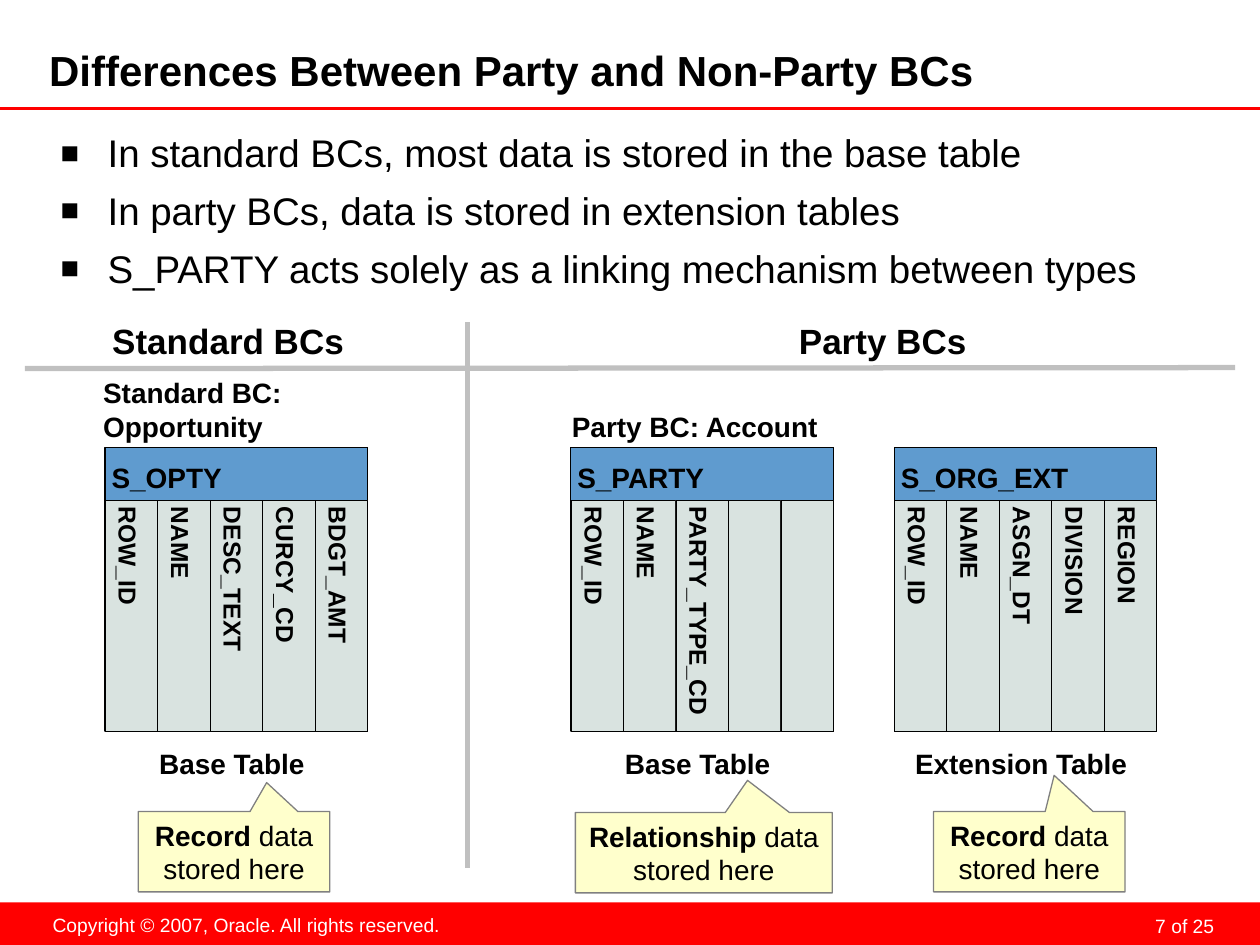
from dataclasses import dataclass

from lxml import etree
from pptx import Presentation
from pptx import util as u
from pptx.dml.color import RGBColor
from pptx.enum import shapes, text
from pptx.oxml.ns import qn

BLACK, WHITE, RED, GREY = "000000", "FFFFFF", "FF0000", "C0C0C0"
FRAME, HEADER, COLUMN = "00CC99", "5F9BCF", "D9E3E0"
NOTE, NOTE_EDGE = "FFFFCC", "808080"

# Shared geometry of the three database tables, in cm
TABLE_TOP, TABLE_W, HEADER_H, COLUMN_H = 9.02, 5.29, 1.07, 4.65
LABEL_INSETS = (0.13, 0.25, 0.13, 0.13)
BOX_INSETS = (0.25, 0.13, 0.25, 0.13)
LEFT, CENTER, RIGHT = text.PP_ALIGN.LEFT, text.PP_ALIGN.CENTER, text.PP_ALIGN.RIGHT
MIDDLE, TOP = text.MSO_ANCHOR.MIDDLE, text.MSO_ANCHOR.TOP


@dataclass
class DbTable:
    left: float
    name: str
    columns: list[str]
    caption: str
    caption_w: float


@dataclass
class Callout:
    box: tuple[float, float, float, float]
    tip: tuple[float, float]
    subject: str


@dataclass
class Heading:
    box: tuple[float, float, float, float]
    words: str
    size: int
    align: text.PP_ALIGN
    wrap: bool


TABLES = [
    DbTable(2.12, "S_OPTY", ["ROW_ID", "NAME", "DESC_TEXT", "CURCY_CD", "BDGT_AMT"],
            "Base Table", 3.48),
    DbTable(11.51, "S_PARTY", ["ROW_ID", "NAME", "PARTY_TYPE_CD", "", ""],
            "Base Table", 3.48),
    DbTable(18.03, "S_ORG_EXT", ["ROW_ID", "NAME", "ASGN_DT", "DIVISION", "REGION"],
            "Extension Table", 4.83),
]
CALLOUTS = [
    Callout((2.79, 16.36, 3.86, 1.62), (0.17, -0.86), "Record"),
    Callout((11.6, 16.38, 5.18, 1.62), (0.17, -0.9), "Relationship"),
    Callout((18.82, 16.36, 3.86, 1.62), (0.13, -0.95), "Record"),
]
HEADINGS = [
    Heading((2.01, 6.32, 5.18, 1.12), "Standard BCs", 20, CENTER, False),
    Heading((15.85, 6.32, 3.89, 1.12), "Party BCs", 20, CENTER, False),
    Heading((1.83, 7.44, 5.41, 1.63), "Standard BC: Opportunity", 16, LEFT, True),
    Heading((11.28, 8.13, 6.17, 0.94), "Party BC: Account", 16, LEFT, True),
]
POINTS = [
    "In standard BCs, most data is stored in the base table",
    "In party BCs, data is stored in extension tables",
    "S_PARTY acts solely as a linking mechanism between types",
]


def rgb(value: str) -> RGBColor:
    return RGBColor.from_string(value)


def place(shape, box) -> None:
    shape.left, shape.top, shape.width, shape.height = map(u.Cm, box)


def write(shape, runs, *, size=16, color=BLACK, align=LEFT, anchor=TOP,
          insets=BOX_INSETS, wrap=False):
    """Put (words, bold) runs into the first paragraph and return it."""
    frame = shape.text_frame
    frame.auto_size = text.MSO_AUTO_SIZE.NONE
    frame.word_wrap = wrap
    frame.vertical_anchor = anchor
    (frame.margin_left, frame.margin_top,
     frame.margin_right, frame.margin_bottom) = map(u.Cm, insets)
    paragraph = frame.paragraphs[0]
    paragraph.alignment = align
    for words, bold in runs:
        run = paragraph.add_run()
        run.text = words
        font = run.font
        font.name, font.size, font.bold = "Arial", u.Pt(size), bold
        font.color.rgb = rgb(color)
    return paragraph


def add_box(slide, kind, box, fill: str, edge: str | None = None, width=0.5):
    shape = slide.shapes.add_shape(kind, *map(u.Cm, box))
    shape.shadow.inherit = False
    shape.fill.solid()
    shape.fill.fore_color.rgb = rgb(fill)
    if edge:
        shape.line.color.rgb = rgb(edge)
        shape.line.width = u.Pt(width)
    else:
        shape.line.fill.background()
    return shape


def add_rule(slide, start, end, color: str, width: float) -> None:
    rule = slide.shapes.add_connector(
        shapes.MSO_CONNECTOR.STRAIGHT, *map(u.Cm, (*start, *end)))
    rule.line.color.rgb = rgb(color)
    rule.line.width = u.Pt(width)
    etree.SubElement(rule._element.spPr, qn("a:effectLst"))


def add_label(slide, box, words: str, **style):
    label = slide.shapes.add_textbox(*map(u.Cm, box))
    return write(label, [(words, style.pop("bold", True))], **style)


def add_db_table(slide, table: DbTable) -> None:
    rect = shapes.MSO_SHAPE.RECTANGLE
    add_box(slide, rect, (table.left, TABLE_TOP, TABLE_W, HEADER_H + COLUMN_H),
            FRAME, BLACK, 0.75)
    header = add_box(slide, rect, (table.left, TABLE_TOP, TABLE_W, HEADER_H),
                     HEADER, BLACK)
    write(header, [(table.name, True)], anchor=MIDDLE, insets=LABEL_INSETS)

    # Columns are lying rectangles turned upright about their centres
    step = TABLE_W / len(table.columns)
    middle_y = TABLE_TOP + HEADER_H + COLUMN_H / 2
    for index, name in enumerate(table.columns):
        middle_x = table.left + step * (index + 0.5)
        column = add_box(slide, rect, (middle_x - COLUMN_H / 2, middle_y - step / 2,
                                       COLUMN_H, step), COLUMN, BLACK)
        column.rotation = 90
        if name:
            write(column, [(name, True)], size=14, anchor=MIDDLE, insets=LABEL_INSETS)

    caption_left = table.left + (TABLE_W - table.caption_w) / 2 - 0.09
    add_label(slide, (caption_left, 14.91, table.caption_w, 0.94),
              table.caption, align=CENTER)


def add_callout(slide, callout: Callout) -> None:
    note = add_box(slide, shapes.MSO_SHAPE.RECTANGULAR_CALLOUT, callout.box,
                   NOTE, NOTE_EDGE, 0.75)
    note.adjustments[0], note.adjustments[1] = callout.tip
    write(note, [(callout.subject, True), (" data stored here", False)],
          align=CENTER, anchor=MIDDLE, wrap=True)


def add_bullet(paragraph) -> None:
    props = paragraph._p.get_or_add_pPr()
    props.set("marL", str(u.Cm(0.95)))
    props.set("indent", str(-u.Cm(0.95)))
    color = etree.SubElement(props, qn("a:buClr"))
    etree.SubElement(color, qn("a:srgbClr"), val=BLACK)
    etree.SubElement(props, qn("a:buSzPct"), val="80000")
    etree.SubElement(props, qn("a:buFont"), typeface="Arial")
    etree.SubElement(props, qn("a:buChar"), char="■")


def fill_points(body) -> None:
    place(body, (0.97, 2.36, 23.62, 15.62))
    write(body, [], insets=(0.25, 0.25, 0.25, 0.13), wrap=True)
    frame = body.text_frame
    for index, point in enumerate(POINTS):
        paragraph = frame.add_paragraph() if index else frame.paragraphs[0]
        add_bullet(paragraph)
        paragraph.space_before = u.Pt(6.5 if index else 0)
        paragraph.text = point
        font = paragraph.runs[0].font
        font.name, font.size = "Arial", u.Pt(22)
        font.color.rgb = rgb(BLACK)


def main() -> None:
    deck = Presentation()
    deck.slide_width, deck.slide_height = u.Cm(25.4), u.Cm(19.05)
    slide = deck.slides.add_slide(deck.slide_layouts[1])

    # Footer band and title rule
    add_box(slide, shapes.MSO_SHAPE.RECTANGLE, (0, 18.19, 25.4, 0.86), RED)
    page = add_label(slide, (18.69, 18.26, 5.92, 0.64), "7 of 25", bold=False, size=11,
                     color=WHITE, align=RIGHT, insets=(0.13, 0, 0.13, 0), wrap=True)
    page.line_spacing = u.Pt(18)
    add_label(slide, (0.79, 18.29, 8.36, 0.74),
              "Copyright © 2007, Oracle. All rights reserved.",
              bold=False, size=11, color=WHITE, align=CENTER)
    add_rule(slide, (0, 2.19), (25.4, 2.19), RED, 1.75)

    # Title and points
    title, body = slide.placeholders
    place(title, (0.99, 0.96, 19.99, 1.02))
    write(title, [("Differences Between Party and Non-Party BCs", True)], size=24,
          anchor=MIDDLE, insets=(0, 0, 0.13, 0.13), wrap=True)
    fill_points(body)

    # Comparison of standard and party components
    for table in TABLES:
        add_db_table(slide, table)
    for heading in HEADINGS:
        add_label(slide, heading.box, heading.words, size=heading.size,
                  align=heading.align, wrap=heading.wrap)
    for callout in CALLOUTS:
        add_callout(slide, callout)
    add_rule(slide, (9.43, 6.5), (9.43, 17.5), GREY, 3)
    add_rule(slide, (0.5, 7.43), (24.9, 7.41), GREY, 3)

    deck.save("out.pptx")


if __name__ == "__main__":
    main()
